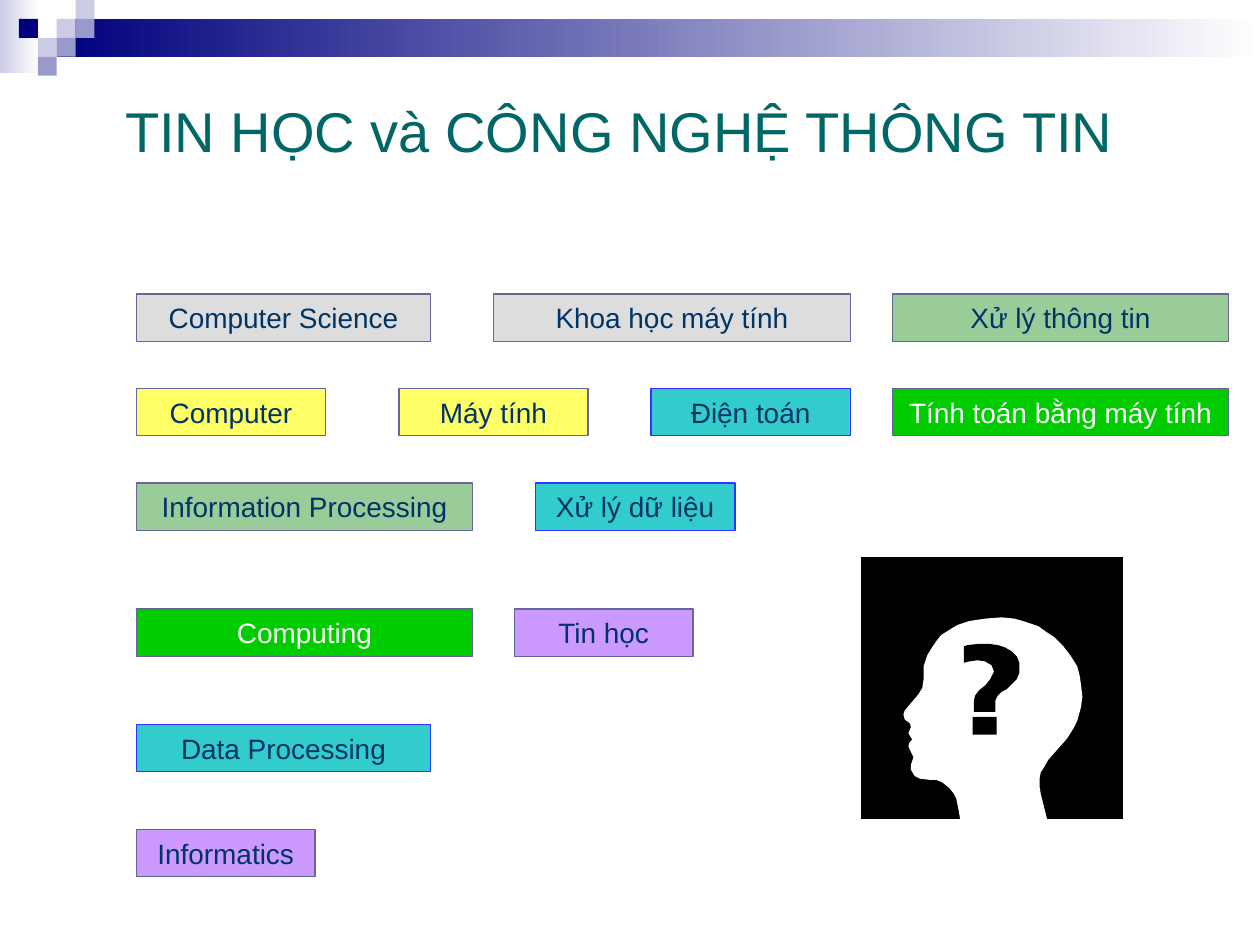
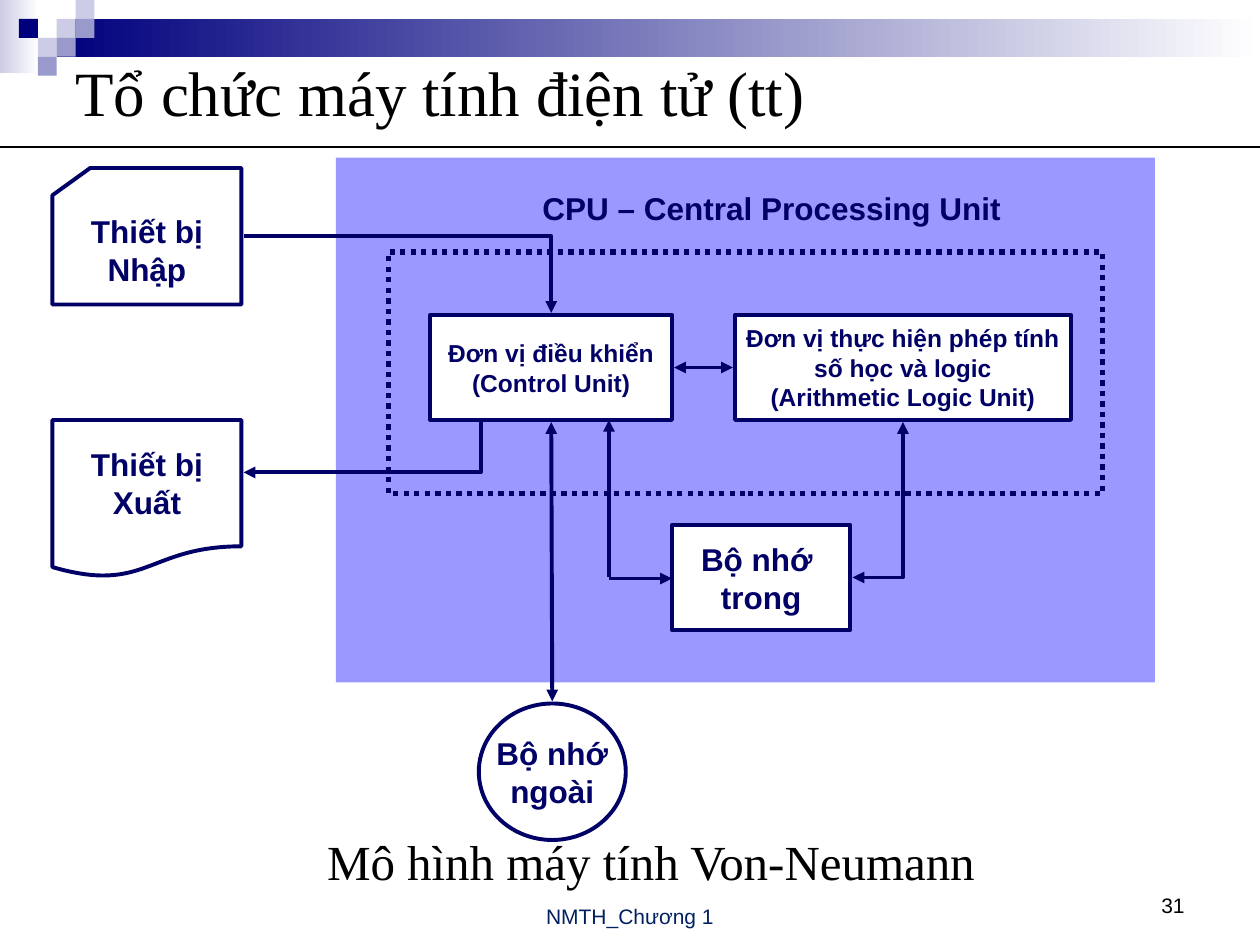
from dataclasses import dataclass
from typing import Optional

from lxml import etree
from pptx import Presentation
from pptx.dml.color import RGBColor
from pptx.enum.dml import MSO_LINE
from pptx.enum.shapes import MSO_CONNECTOR, MSO_SHAPE
from pptx.enum.text import MSO_ANCHOR, PP_ALIGN
from pptx.oxml.ns import qn
from pptx.slide import Slide
from pptx.util import Emu, Inches, Pt

WIDTH, HEIGHT = Inches(10), Inches(7.5)
CELL = WIDTH / 120
TILE = 1.8
MIL = WIDTH / 1000

RECT = MSO_SHAPE.RECTANGLE
OVAL = MSO_SHAPE.OVAL
CARD = MSO_SHAPE.FLOWCHART_CARD
PAPER = MSO_SHAPE.FLOWCHART_DOCUMENT
LINE = MSO_CONNECTOR.STRAIGHT
ELBOW = MSO_CONNECTOR.ELBOW
DOTS = MSO_LINE.ROUND_DOT
LEFT, MID, RIGHT = PP_ALIGN.LEFT, PP_ALIGN.CENTER, PP_ALIGN.RIGHT
CENTER, BASE = MSO_ANCHOR.MIDDLE, MSO_ANCHOR.BOTTOM

BLACK = RGBColor(0, 0, 0)
WHITE = RGBColor(255, 255, 255)
NAVY = RGBColor(0x00, 0x00, 0x7D)
PALE = RGBColor(0xCC, 0xCC, 0xE6)
LILAC = RGBColor(0x99, 0x99, 0xCC)
TEAL = RGBColor(0x00, 0x66, 0x66)
INK = RGBColor(0x00, 0x33, 0x66)
SLATE = RGBColor(0x66, 0x66, 0x99)
GRAY = RGBColor(0xDD, 0xDD, 0xDD)
YELLOW = RGBColor(0xFF, 0xFF, 0x66)
SAGE = RGBColor(0x99, 0xCC, 0x99)
GREEN = RGBColor(0x00, 0xCC, 0x00)
AQUA = RGBColor(0x33, 0xCC, 0xCC)
BLUE = RGBColor(0x33, 0x33, 0xFF)
MAUVE = RGBColor(0xCC, 0x99, 0xFF)
SKY = RGBColor(0x99, 0x99, 0xFF)
DEEP = RGBColor(0x00, 0x00, 0x66)
FOOT = RGBColor(0x00, 0x20, 0x60)
SANS, SERIF = "Arial", "Times New Roman"


@dataclass(frozen=True)
class Type:
    size: float
    color: RGBColor
    font: str = SANS
    bold: bool = False
    align: PP_ALIGN = MID
    anchor: MSO_ANCHOR = CENTER


@dataclass(frozen=True)
class Box:
    col: float
    row: float
    cols: float
    rows: float
    lines: tuple[str, ...] = ()
    type: Optional[Type] = None
    kind: Optional[MSO_SHAPE] = None
    fill: Optional[RGBColor] = None
    fade: Optional[RGBColor] = None
    edge: Optional[RGBColor] = None
    weight: float = 2.25
    dash: Optional[MSO_LINE] = None


@dataclass(frozen=True)
class Wire:
    start: tuple[float, float]
    end: tuple[float, float]
    kind: MSO_CONNECTOR = LINE
    head: bool = False
    tail: bool = False
    color: RGBColor = DEEP
    weight: float = 2.25


@dataclass(frozen=True)
class Term:
    col: float
    row: float
    cols: float
    text: str
    fill: RGBColor


HEAD = Type(32, TEAL)
TITLE = Type(36, BLACK, SERIF, align=LEFT)
NOTE = Type(28, BLACK, SERIF)
LABEL = Type(18, DEEP, bold=True)
SMALL = Type(14, DEEP, bold=True)
TAG = Type(12, FOOT, anchor=BASE)
PAGE = Type(12, BLACK, align=RIGHT, anchor=BASE)

BANDS = (
    Box(0, 0, 3.7, 7, kind=RECT, fill=PALE, fade=WHITE),
    Box(5.4, TILE, 114.6, 3.6, kind=RECT, fill=NAVY, fade=WHITE),
)
TILES = (
    (3, 1, PALE), (4, 0, PALE), (4, 1, LILAC), (2, 2, PALE),
    (1, 1, NAVY), (3, 2, LILAC), (2, 3, LILAC),
)

TERMS = (
    Term(13, 28, 28, "Computer Science", GRAY),
    Term(47, 28, 34, "Khoa học máy tính", GRAY),
    Term(85, 28, 32, "Xử lý thông tin", SAGE),
    Term(13, 37, 18, "Computer", YELLOW),
    Term(38, 37, 18, "Máy tính", YELLOW),
    Term(62, 37, 19, "Điện toán", AQUA),
    Term(85, 37, 32, "Tính toán bằng máy tính", GREEN),
    Term(13, 46, 32, "Information Processing", SAGE),
    Term(51, 46, 19, "Xử lý dữ liệu", AQUA),
    Term(13, 58, 32, "Computing", GREEN),
    Term(49, 58, 17, "Tin học", MAUVE),
    Term(13, 69, 28, "Data Processing", AQUA),
    Term(13, 79, 17, "Informatics", MAUVE),
)

PANEL = ((683, 442), (891, 442), (891, 650), (683, 650))
SKULL = (
    (795, 490), (782, 491), (769, 493), (760, 496), (755, 499), (747, 504),
    (743, 509), (739, 515), (736, 520), (733, 529), (733, 539), (732, 546),
    (729, 551), (718, 564), (717, 567), (718, 571), (722, 574), (723, 577),
    (721, 582), (724, 587), (722, 589), (721, 592), (722, 595), (725, 601),
    (723, 607), (723, 611), (726, 616), (730, 618), (738, 619), (743, 619),
    (748, 621), (754, 626), (757, 630), (759, 634), (761, 644), (762, 650),
    (831, 650), (826, 630), (825, 624), (825, 618), (826, 613), (828, 610),
    (832, 603), (847, 586), (852, 578), (855, 572), (858, 561), (859, 553),
    (858, 544), (857, 537), (855, 529), (850, 521), (844, 513), (837, 506),
    (831, 502), (824, 497), (812, 493), (805, 491),
)
DOT = ((791, 569), (772, 569), (772, 583), (791, 583))
HOOK = (
    (809, 530), (809, 526), (807, 521), (803, 517), (798, 514), (792, 512),
    (785, 511), (777, 511), (768, 512), (765, 513), (765, 526), (769, 525),
    (776, 524), (782, 525), (787, 528), (789, 533), (786, 539), (782, 544),
    (777, 548), (774, 552), (773, 556), (773, 565), (790, 565), (790, 556),
    (792, 552), (795, 549), (799, 547), (804, 542), (807, 539), (809, 534),
)
FORMS = (((PANEL,), BLACK), ((SKULL,), WHITE), ((DOT, HOOK), BLACK))

PARTS = (
    Box(32, 15, 78, 50, kind=RECT, fill=SKY),
    Box(37, 24, 68, 23, kind=RECT, edge=DEEP, weight=3, dash=DOTS),
    Box(5, 16, 18, 13, ("Thiết bị", "Nhập"), LABEL, CARD, WHITE, edge=DEEP),
    Box(5, 40, 18, 15, ("Thiết bị", "Xuất"), LABEL, PAPER, WHITE, edge=DEEP),
    Box(70, 30, 32, 10,
        ("Đơn vị thực hiện phép tính", "số học và logic", "(Arithmetic Logic Unit)"),
        SMALL, RECT, WHITE, edge=DEEP),
    Box(64, 50, 17, 10, ("Bộ nhớ ", "trong"), LABEL, RECT, WHITE, edge=DEEP),
    Box(45.6, 67, 14, 13, ("Bộ nhớ", "ngoài"), LABEL, OVAL, WHITE, edge=DEEP),
    Box(41, 30, 23, 10, ("Đơn vị điều khiển", "(Control Unit)"),
        SMALL, RECT, WHITE, edge=DEEP),
    Box(49, 17.4, 49, 4.8, ("CPU – Central Processing Unit",), LABEL),
)
WIRES = (
    Wire((64.2, 35), (69.8, 35), head=True, tail=True),
    Wire((23.2, 22.5), (52.5, 29.8), ELBOW, tail=True),
    Wire((81.2, 55), (86, 40.2), ELBOW, head=True, tail=True),
    Wire((52.5, 40.2), (52.6, 66.8), head=True, tail=True),
    Wire((58, 40), (58, 55), head=True),
    Wire((58, 55.1), (64, 55.1), tail=True),
    Wire((23.2, 45), (45.8, 40), ELBOW, head=True),
)


def grid(*cells: float) -> list[Emu]:
    return [Emu(round(cell * CELL)) for cell in cells]


def write(frame, lines: tuple[str, ...], type: Type) -> None:
    frame.vertical_anchor = type.anchor
    for i, line in enumerate(lines):
        para = frame.paragraphs[0] if i == 0 else frame.add_paragraph()
        para.alignment = type.align
        run = para.add_run()
        run.text = line
        run.font.name = type.font
        run.font.size = Pt(type.size)
        run.font.bold = type.bold
        run.font.color.rgb = type.color


def paint(shape, box: Box) -> None:
    shape.shadow.inherit = False
    if box.fade is not None:
        shape.fill.gradient()
        shape.fill.gradient_angle = 0
        for stop, color in zip(shape.fill.gradient_stops, (box.fill, box.fade)):
            stop.color.rgb = color
    elif box.fill is not None:
        shape.fill.solid()
        shape.fill.fore_color.rgb = box.fill
    else:
        shape.fill.background()
    if box.edge is None:
        shape.line.fill.background()
        return
    shape.line.color.rgb = box.edge
    shape.line.width = Pt(box.weight)
    if box.dash is not None:
        shape.line.dash_style = box.dash


def put(slide: Slide, box: Box) -> None:
    place = grid(box.col, box.row, box.cols, box.rows)
    if box.kind is None:
        shape = slide.shapes.add_textbox(*place)
    else:
        shape = slide.shapes.add_shape(box.kind, *place)
        paint(shape, box)
    if box.type is not None:
        shape.text_frame.word_wrap = box.kind is None
        write(shape.text_frame, box.lines, box.type)


def join(slide: Slide, wire: Wire) -> None:
    link = slide.shapes.add_connector(wire.kind, *grid(*wire.start, *wire.end))
    link.line.color.rgb = wire.color
    link.line.width = Pt(wire.weight)
    props = link._element.spPr
    if wire.kind == ELBOW:
        props.find(qn("a:prstGeom")).set("prst", "bentConnector2")
    stroke = props.find(qn("a:ln"))
    for end, shown in (("a:headEnd", wire.head), ("a:tailEnd", wire.tail)):
        if shown:
            etree.SubElement(stroke, qn(end), type="triangle")
    etree.SubElement(props, qn("a:effectLst"))


def trace(slide: Slide, loops: tuple, color: RGBColor) -> None:
    pen = slide.shapes.build_freeform(*loops[0][0], scale=MIL)
    for i, loop in enumerate(loops):
        if i:
            pen.move_to(*loop[0])
        pen.add_line_segments(loop[1:], close=True)
    shape = pen.convert_to_shape()
    paint(shape, Box(0, 0, 0, 0, fill=color))


def start(deck) -> Slide:
    slide = deck.slides.add_slide(deck.slide_layouts[6])
    for band in BANDS:
        put(slide, band)
    for col, row, color in TILES:
        put(slide, Box(col * TILE, row * TILE, TILE, TILE, kind=RECT, fill=color))
    return slide


def terms(deck) -> None:
    slide = start(deck)
    put(slide, Box(9, 9, 100, 6.7, ("TIN HỌC và CÔNG NGHỆ THÔNG TIN",), HEAD))
    for term in TERMS:
        type = Type(16, WHITE if term.fill == GREEN else INK)
        edge = BLUE if term.fill == AQUA else SLATE
        put(slide, Box(term.col, term.row, term.cols, 4.5, (term.text,), type,
                       RECT, term.fill, edge=edge, weight=0.75))
    for loops, color in FORMS:
        trace(slide, loops, color)


def model(deck) -> None:
    slide = start(deck)
    put(slide, Box(6, 3, 108, 11.4, ("Tổ chức máy tính điện tử (tt)",), TITLE))
    put(slide, Box(8, 78, 108, 8, ("Mô hình máy tính Von-Neumann",), NOTE))
    join(slide, Wire((0, 14), (120, 14), color=BLACK, weight=0.75))
    for part in PARTS:
        put(slide, part)
    for wire in WIRES:
        join(slide, wire)
    put(slide, Box(41, 83, 38, 6, ("NMTH_Chương 1",), TAG))
    put(slide, Box(86, 82, 28, 6, ("31",), PAGE))


def main() -> None:
    deck = Presentation()
    deck.slide_width, deck.slide_height = WIDTH, HEIGHT
    terms(deck)
    model(deck)
    deck.save("out.pptx")


if __name__ == "__main__":
    main()
